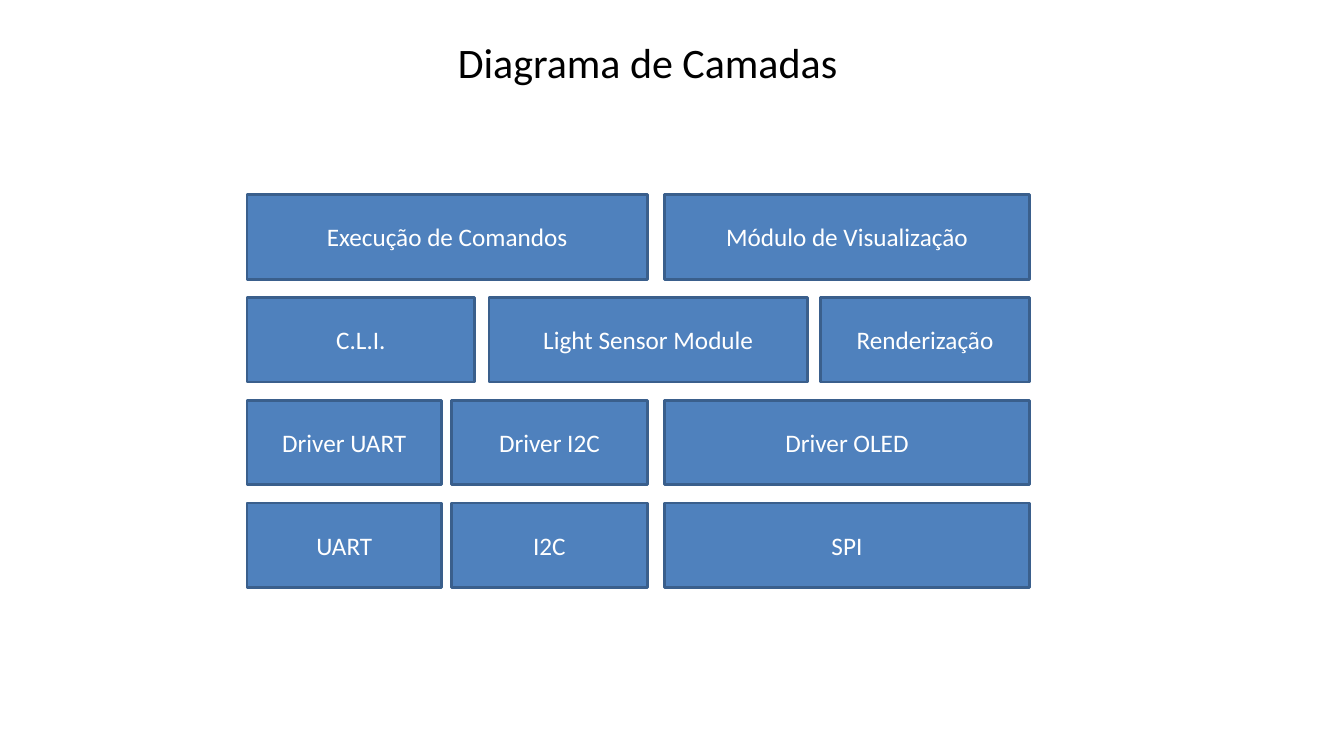
from dataclasses import dataclass

from pptx import Presentation
from pptx.dml.color import RGBColor
from pptx.enum import shapes, text
from pptx.util import Inches, Pt

TITLE = "Diagrama de Camadas"
HALVES = [(2.45, 6.42), (6.59, 10.21)]
THIRDS = [(2.45, 4.71), (4.85, 8.01), (8.14, 10.21)]
PORTS = [(2.45, 4.38), (4.48, 6.42), (6.59, 10.21)]
LAYERS = [
    (HALVES, ["Execução de Comandos", "Módulo de Visualização"]),
    (THIRDS, ["C.L.I.", "Light Sensor Module", "Renderização"]),
    (PORTS, ["Driver UART", "Driver I2C", "Driver OLED"]),
    (PORTS, ["UART", "I2C", "SPI"]),
]
TOP, STEP, HEIGHT = 1.93, 1.02, 0.84


@dataclass(frozen=True)
class Theme:
    font: str = "Calibri"
    ink: str = "000000"
    label: str = "FFFFFF"
    fill: str = "4F81BD"
    edge: str = "3A5F8C"
    title: int = 30
    body: int = 18
    line: int = 2


theme = Theme()


def write(frame, words, size, color, align, anchor):
    frame.text = words
    frame.word_wrap = True
    frame.auto_size = text.MSO_AUTO_SIZE.NONE
    frame.vertical_anchor = anchor
    par = frame.paragraphs[0]
    par.alignment = align
    font = par.runs[0].font
    font.name = theme.font
    font.size = Pt(size)
    font.color.rgb = RGBColor.from_string(color)


def block(slide, words, left, top, right):
    box = slide.shapes.add_shape(
        shapes.MSO_SHAPE.RECTANGLE,
        Inches(left), Inches(top), Inches(right - left), Inches(HEIGHT),
    )
    box.shadow.inherit = False
    box.fill.solid()
    box.fill.fore_color.rgb = RGBColor.from_string(theme.fill)
    box.line.color.rgb = RGBColor.from_string(theme.edge)
    box.line.width = Pt(theme.line)
    write(box.text_frame, words, size=theme.body, color=theme.label,
          align=text.PP_ALIGN.CENTER, anchor=text.MSO_ANCHOR.MIDDLE)


def main():
    deck = Presentation()
    deck.slide_width, deck.slide_height = Inches(13.33), Inches(7.5)
    slide = deck.slides.add_slide(deck.slide_layouts[5])
    title = slide.shapes.title
    title.left, title.top = Inches(4.44), Inches(0.31)
    title.width, title.height = Inches(4.24), Inches(1.1)
    write(title.text_frame, TITLE, size=theme.title, color=theme.ink,
          align=text.PP_ALIGN.LEFT, anchor=text.MSO_ANCHOR.TOP)
    for row, (spans, names) in enumerate(LAYERS):
        for (left, right), name in zip(spans, names):
            block(slide, name, left, TOP + row * STEP, right)
    deck.save("out.pptx")


if __name__ == "__main__":
    main()
